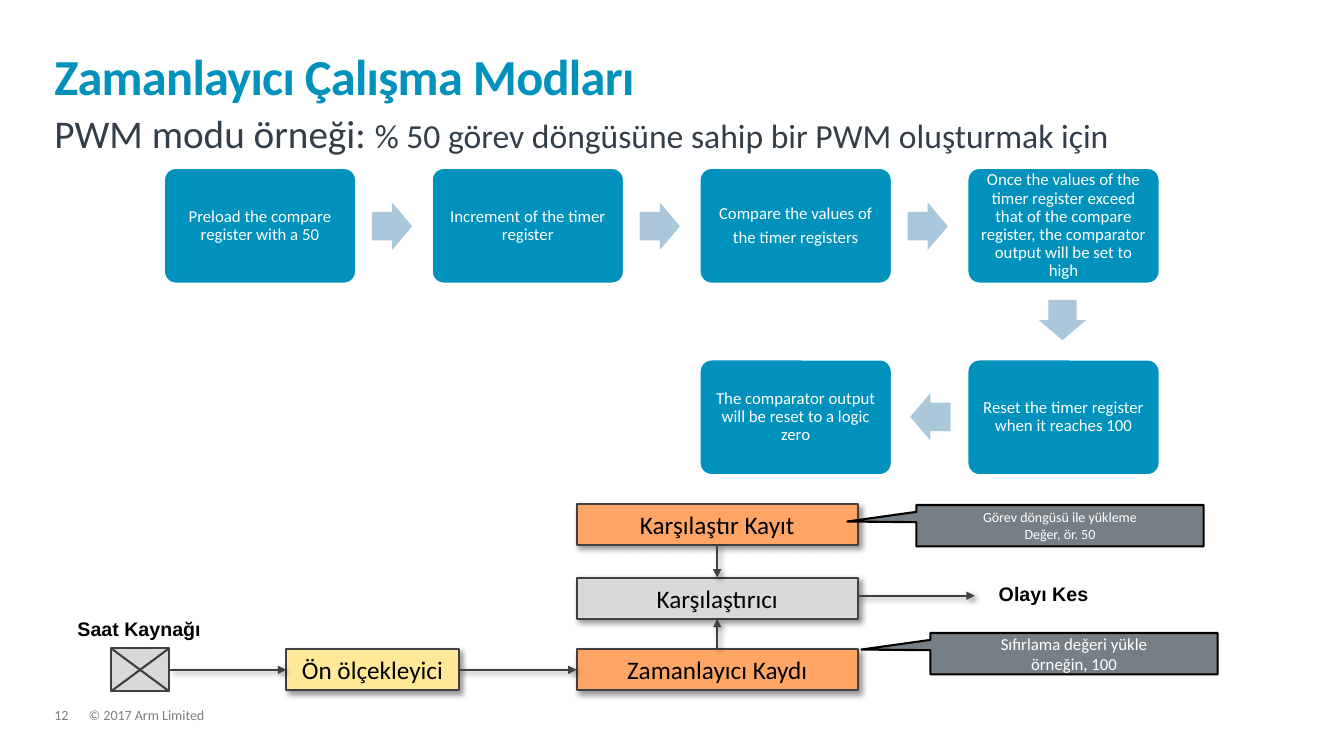
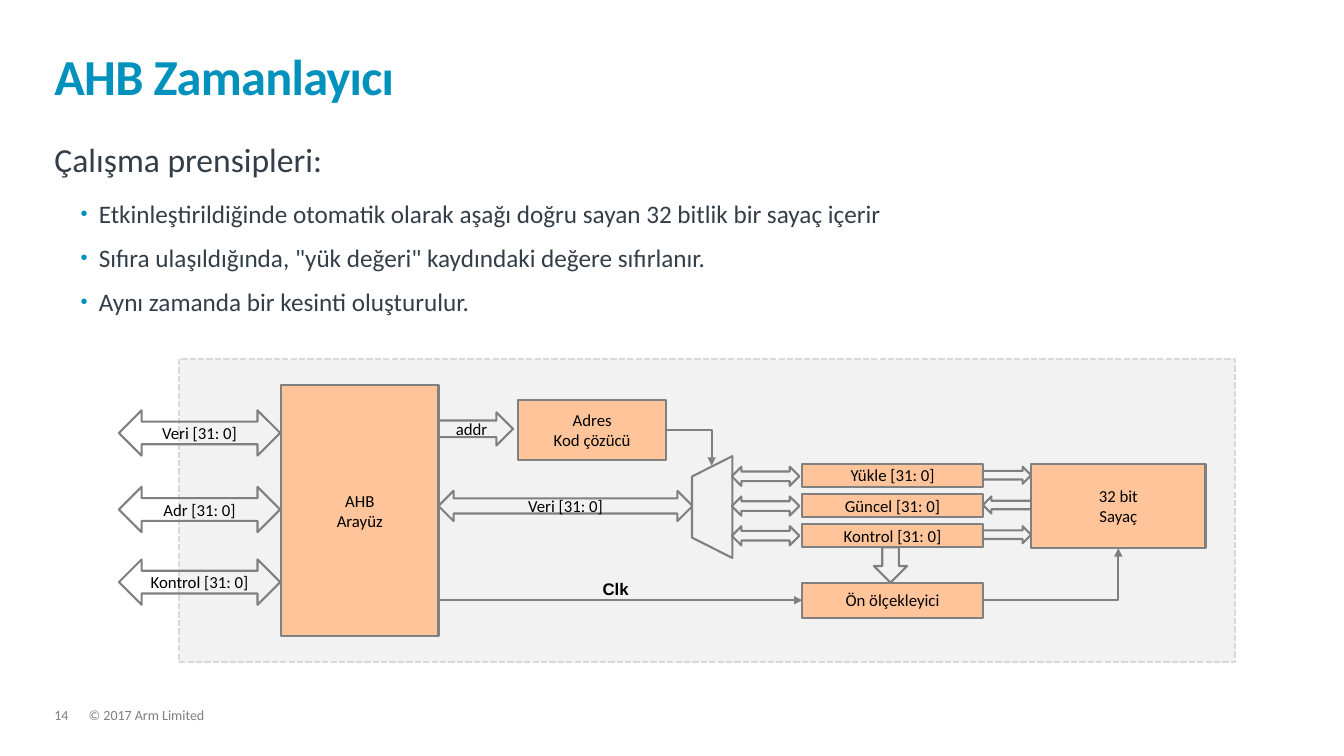
from lxml import etree
from pptx import Presentation
from pptx.dml.color import RGBColor
from pptx.enum.dml import MSO_LINE
from pptx.enum.shapes import MSO_CONNECTOR, MSO_SHAPE
from pptx.enum.text import MSO_ANCHOR, MSO_AUTO_SIZE, PP_ALIGN
from pptx.oxml.ns import qn
from pptx.util import Inches, Pt

RECT = MSO_SHAPE.RECTANGLE
ROUND = MSO_SHAPE.ROUNDED_RECTANGLE
ARROW = MSO_SHAPE.RIGHT_ARROW
DOUBLE = MSO_SHAPE.LEFT_RIGHT_ARROW
PROCESS = MSO_SHAPE.FLOWCHART_PROCESS
FUNNEL = MSO_SHAPE.FLOWCHART_MANUAL_OPERATION
CALLOUT = MSO_SHAPE.RECTANGULAR_CALLOUT
STRAIGHT = MSO_CONNECTOR.STRAIGHT
ELBOW = MSO_CONNECTOR.ELBOW
DASH = MSO_LINE.SQUARE_DOT
LEFT = PP_ALIGN.LEFT
CENTER = PP_ALIGN.CENTER
TOP = MSO_ANCHOR.TOP
MIDDLE = MSO_ANCHOR.MIDDLE
BOTTOM = MSO_ANCHOR.BOTTOM
FIXED = MSO_AUTO_SIZE.NONE

CELL = 0.1
COLS, ROWS = 133.33, 75
BLUE, PALE, INK = "0091BD", "ABC7DB", "333E48"
ORANGE, PEACH, YELLOW = "FFA666", "FFC499", "FFE999"
SILVER, MIST, SLATE = "D9D9D9", "F2F2F2", "767F86"
DARK, GRAY, DIM = "404040", "808080", "7F7F7F"
BLACK, WHITE = "000000", "FFFFFF"


def rgb(code):
    return RGBColor.from_string(code)


def grid(*cells):
    return [Inches(cell * CELL) for cell in cells]


def child(parent, tag, **values):
    node = etree.SubElement(parent, qn(tag))
    for key, value in values.items():
        node.set(key, str(value))
    return node


def write(frame, text, size=12, color=BLACK, font="Calibri", bold=False,
          align=LEFT, lead=1.0, after=0, bullet=False, track=0, join=False):
    for line in text.split("\n"):
        para = frame.paragraphs[-1]
        if para.runs and not join:
            para = frame.add_paragraph()
        props = para._p.get_or_add_pPr()
        left, indent = grid(4.4, -1.8) if bullet else (0, 0)
        props.set("marL", str(left))
        props.set("indent", str(indent))
        if bullet:
            para.level = 1
            child(child(props, "a:buClr"), "a:srgbClr", val=BLUE)
            child(props, "a:buSzPct", val=80000)
            child(props, "a:buFont", typeface="Arial")
            child(props, "a:buChar", char="•")
        elif not join:
            child(props, "a:buNone")
        para.alignment = align
        para.line_spacing = lead
        para.space_before = Pt(0)
        para.space_after = Pt(after)
        run = para.add_run()
        run.text = line
        run.font.size = Pt(size)
        run.font.name = font
        run.font.bold = bold
        run.font.color.rgb = rgb(color)
        if track:
            run._r.get_or_add_rPr().set("spc", str(track))


class Deck:
    def __init__(self):
        self.show = Presentation()
        self.show.slide_width, self.show.slide_height = grid(COLS, ROWS)

    def page(self, number, title, top, height):
        layout = self.show.slide_layouts[1]
        self.slide = self.show.slides.add_slide(layout)
        self.shapes = self.slide.shapes
        head = self.frame(self.shapes.title, (5.4, 3.2, 122.3, 7.3), BOTTOM)
        write(head, title, size=36, color=BLUE, bold=True, lead=0.85, track=-50)
        for left, width, text in ((8.8, 91.3, "© 2017 Arm Limited"),
                                  (5.4, 3.4, number)):
            self.label((left, 70.3, width, 1.5), text, pad=0,
                       size=10, color=DIM, lead=0.9)
        body = self.slide.placeholders[1]
        return self.frame(body, (5.4, top, 122.3, height), TOP)

    def frame(self, holder, area, anchor):
        holder.left, holder.top, holder.width, holder.height = grid(*area)
        frame = holder.text_frame
        frame.auto_size = FIXED
        frame.vertical_anchor = anchor
        self.inset(frame, 0)
        return frame

    def inset(self, frame, pad):
        frame.margin_left = frame.margin_right = Inches(pad)
        frame.margin_top = frame.margin_bottom = Inches(pad)

    def label(self, area, text, pad=None, **style):
        frame = self.shapes.add_textbox(*grid(*area)).text_frame
        frame.word_wrap = True
        if pad is not None:
            self.inset(frame, pad)
        write(frame, text, **style)

    def shade(self, props):
        effects = props.find(qn("a:effectLst"))
        cast = child(effects, "a:outerShdw", blurRad=Pt(4), dist=Pt(3),
                     dir=45 * 60000, algn="tl", rotWithShape=0)
        tint = child(cast, "a:srgbClr", val=BLACK)
        child(tint, "a:alpha", val=40000)

    def shape(self, kind, area, text="", fill=None, edge=GRAY, weight=1.5,
              dash=None, turn=0, tune=(), shadow=False, pad=None, **style):
        item = self.shapes.add_shape(kind, *grid(*area))
        item.rotation = turn
        for n, value in enumerate(tune):
            item.adjustments[n] = value
        if fill:
            item.fill.solid()
            item.fill.fore_color.rgb = rgb(fill)
        else:
            item.fill.background()
        if edge:
            item.line.color.rgb = rgb(edge)
            item.line.width = Pt(weight)
        else:
            item.line.fill.background()
        if dash:
            item.line.dash_style = dash
        item.shadow.inherit = False
        if shadow:
            self.shade(item._element.spPr)
        if text:
            frame = item.text_frame
            frame.vertical_anchor = MIDDLE
            frame.word_wrap = pad is not None
            if pad is not None:
                self.inset(frame, pad)
            write(frame, text, align=CENTER, **style)
        return item

    def line(self, ends=(0, 0, 0, 0), start=None, stop=None, color=GRAY,
             kind=STRAIGHT, head=True, shadow=False):
        wire = self.shapes.add_connector(kind, *grid(*ends))
        if start:
            wire.begin_connect(*start)
        if stop:
            wire.end_connect(*stop)
        wire.line.color.rgb = rgb(color)
        wire.line.width = Pt(1.5)
        props = wire._element.spPr
        if kind == ELBOW:
            props.find(qn("a:prstGeom")).set("prst", "bentConnector2")
        if head:
            child(props.find(qn("a:ln")), "a:tailEnd", type="triangle")
        child(props, "a:effectLst")
        if shadow:
            self.shade(props)


def modes(deck):
    body = deck.page("12", "Zamanlayıcı Çalışma Modları", 11.4, 44.7)
    style = dict(color=INK, lead=0.9, after=16)
    write(body, "PWM modu örneği: ", size=28, **style)
    write(body, "% 50 görev döngüsüne sahip bir PWM oluşturmak için",
          size=24, join=True, **style)

    steps = (
        (0, 0, "Preload the compare register with a 50"),
        (1, 0, "Increment of the timer register"),
        (2, 0, "Compare the values of\nthe timer registers"),
        (3, 0, "Once the values of the timer register exceed that of the "
               "compare register, the comparator output will be set to high"),
        (3, 1, "Reset the timer register when it reaches 100"),
        (2, 1, "The comparator output will be reset to a logic zero"),
    )
    for col, row, text in steps:
        area = (16.3 + 26.57 * col, 16.7 + 19 * row, 19, 11.4)
        deck.shape(ROUND, area, text, fill=BLUE, edge=WHITE, weight=1,
                   tune=[0.1], pad=0.08, color=WHITE, lead=0.9,
                   after=4.2 if "\n" in text else 0)
    turns = [(36.9 + 26.57 * n, 20.1, 0) for n in range(3)]
    turns += [(103.4, 29.4, 90), (90.3, 39, 180)]
    for left, top, turn in turns:
        deck.shape(ARROW, (left, top, 4, 4.7), fill=PALE, edge=None,
                   turn=turn, tune=[0.6, 0.5])

    def block(left, top, width, text, fill):
        return deck.shape(RECT, (left, top, width, 4.1), text, fill=fill,
                          edge=DARK, shadow=True, size=18)

    timer = block(57.2, 64.4, 27.9, "Zamanlayıcı Kaydı", ORANGE)
    limit = block(57.2, 50, 27.9, "Karşılaştır Kayıt", ORANGE)
    match = block(57.2, 57.3, 27.9, "Karşılaştırıcı", SILVER)
    scale = block(28.4, 64.4, 17.1, "Ön ölçekleyici", YELLOW)
    clock = deck.shape(RECT, (11, 64.3, 5.8, 4.3), fill=SILVER, edge=DARK)
    for ends in ((11, 64.3, 16.8, 68.6), (16.8, 64.3, 11, 68.6)):
        deck.line(ends, color=DARK, head=False)
    for start, stop in (((clock, 3), (scale, 1)), ((scale, 3), (timer, 1)),
                        ((timer, 0), (match, 2)), ((limit, 2), (match, 0))):
        deck.line(start=start, stop=stop, color=DARK, shadow=True)
    deck.line((85.1, 59.1, 96.7, 59.1), color=DARK, shadow=True)

    for area, text in (((98.1, 57.2, 22.6, 3.4), "Olayı Kes"),
                       ((6.7, 60.7, 20, 3.4), "Saat Kaynağı")):
        deck.label(area, text, size=14, font="Arial", bold=True)
    for left, top, size, text in (
            (90.9, 50.1, 10, "Görev döngüsü ile yükleme\nDeğer, ör. 50"),
            (92.3, 62.8, 12, "Sıfırlama değeri yükle\nörneğin, 100")):
        deck.shape(CALLOUT, (left, top, 28.5, 4.1), text, fill=SLATE,
                   edge=BLACK, tune=[-0.74, -0.1], size=size, color=WHITE)


def timer(deck):
    body = deck.page("14", "AHB Zamanlayıcı", 14.2, 48.5)
    style = dict(color=INK, lead=0.9)
    write(body, "Çalışma prensipleri:", size=24, after=16, **style)
    write(body, "Etkinleştirildiğinde otomatik olarak aşağı doğru sayan "
                "32 bitlik bir sayaç içerir\n"
                "Sıfıra ulaşıldığında, \"yük değeri\" kaydındaki değere "
                "sıfırlanır.\n"
                "Aynı zamanda bir kesinti oluşturulur.",
          size=18, after=12, bullet=True, **style)

    deck.shape(RECT, (17.8, 35.6, 104.7, 30.1), fill=MIST, edge=SILVER,
               dash=DASH)

    def block(area, text):
        return deck.shape(PROCESS, area, text, fill=PEACH)

    block((27.9, 38.2, 15.6, 24.9), "AHB\nArayüz")
    for top, text in ((40.7, "Veri [31: 0]"), (48.3, "Adr [31: 0]"),
                      (55.5, "Kontrol [31: 0]")):
        deck.shape(DOUBLE, (11.8, top, 16, 4.5), text)
    deck.shape(ARROW, (43.5, 40.9, 7.4, 3.3), "addr")
    coder = block((51.4, 39.7, 14.7, 5.9), "Adres\nKod çözücü")
    deck.shape(DOUBLE, (43.5, 48.7, 25.2, 3), "Veri [31: 0]")
    deck.shape(FUNNEL, (65.6, 48.3, 10.1, 4), fill=MIST, turn=90)
    deck.line((66.1, 42.65, 70.6, 46.2), start=(coder, 3), kind=ELBOW)

    for n, (text, turn) in enumerate((("Yükle", 0), ("Güncel", 180),
                                      ("Kontrol", 0))):
        deck.shape(DOUBLE, (72.6, 46.3 + 2.95 * n, 6.7, 1.9))
        block((79.6, 46 + 3 * n, 17.9, 2.3), text + " [31: 0]")
        deck.shape(ARROW, (97.5, 46.3 + 2.95 * n, 4.8, 1.7), turn=turn)
    count = block((102.3, 46, 17.3, 8.4), "32 bit\nSayaç")
    scale = block((79.6, 57.8, 17.9, 3.5), "Ön ölçekleyici")
    deck.shape(ARROW, (86.6, 54.4, 3.5, 3.3), turn=90)
    deck.line((43.5, 59.55, 79.6, 59.55), stop=(scale, 1))
    deck.line(start=(scale, 3), stop=(count, 2), kind=ELBOW)
    deck.label((58.8, 56.9, 10.4, 3), "Clk", font="Arial", bold=True)


def main():
    deck = Deck()
    modes(deck)
    timer(deck)
    deck.show.save("out.pptx")


if __name__ == "__main__":
    main()
